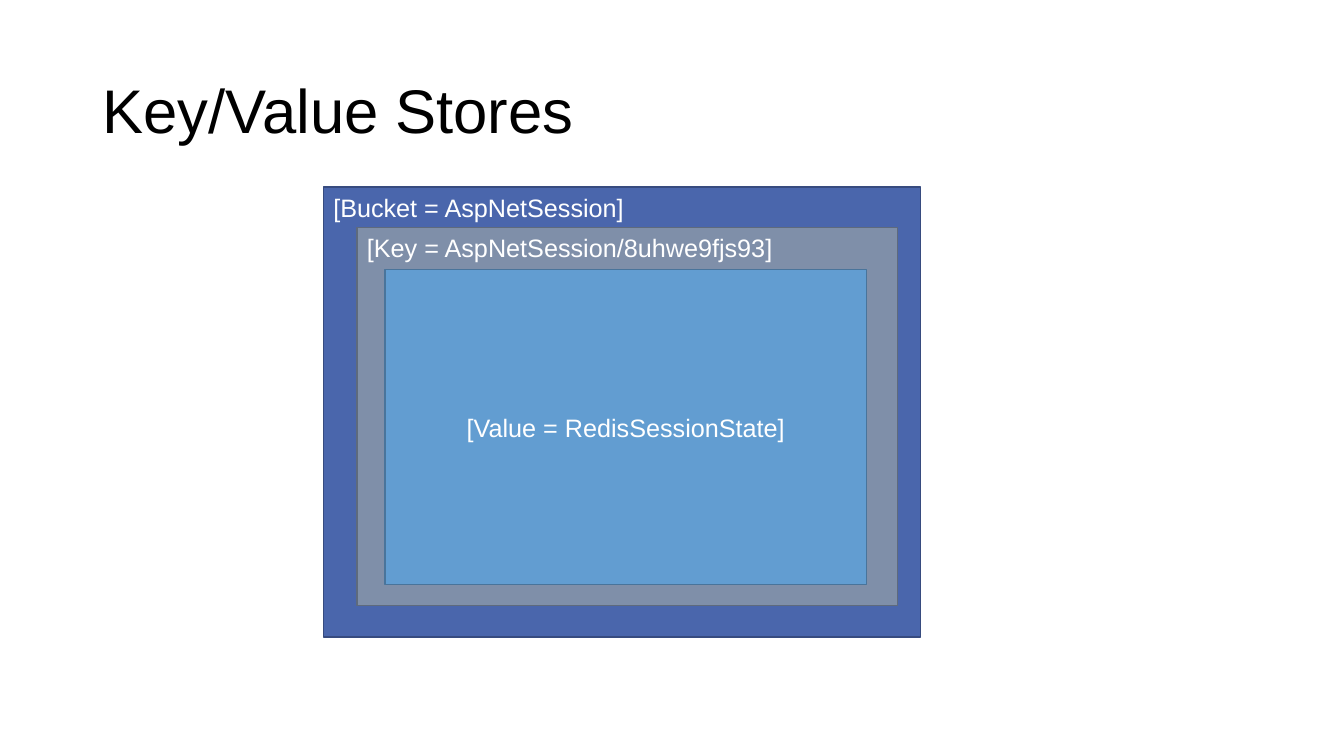
from pptx import Presentation
from pptx.dml.color import RGBColor
from pptx.enum import shapes, text
from pptx.util import Pt

BLACK = RGBColor(0x00, 0x00, 0x00)
WHITE = RGBColor(0xFF, 0xFF, 0xFF)
NAVY = RGBColor(0x4A, 0x66, 0xAC)
NAVY_RIM = RGBColor(0x37, 0x4B, 0x7F)
GREY = RGBColor(0x7F, 0x8F, 0xA9)
GREY_RIM = RGBColor(0x5E, 0x6A, 0x7D)
SKY = RGBColor(0x62, 0x9D, 0xD1)
SKY_RIM = RGBColor(0x49, 0x74, 0x9B)
FONT = "Arial"
TOP, MID = text.MSO_ANCHOR.TOP, text.MSO_ANCHOR.MIDDLE
LEFT, CENTER = text.PP_ALIGN.LEFT, text.PP_ALIGN.CENTER


def write(shape, words, size=18, color=WHITE, align=LEFT, anchor=TOP, space=1.0):
    frame = shape.text_frame
    frame.word_wrap = True
    frame.auto_size = text.MSO_AUTO_SIZE.NONE
    frame.vertical_anchor = anchor
    para = frame.paragraphs[0]
    para.alignment = align
    para.line_spacing = space
    run = para.add_run()
    run.text = words
    run.font.name = FONT
    run.font.size = Pt(size)
    run.font.color.rgb = color


def head(slide, box, words):
    title = slide.shapes.title
    title.left, title.top, title.width, title.height = map(Pt, box)
    write(title, words, size=44, color=BLACK, anchor=MID, space=0.9)


def panel(slide, box, words, fill, rim, **form):
    rect = slide.shapes.add_shape(shapes.MSO_SHAPE.RECTANGLE, *map(Pt, box))
    rect.shadow.inherit = False
    rect.fill.solid()
    rect.fill.fore_color.rgb = fill
    rect.line.color.rgb = rim
    rect.line.width = Pt(1)
    write(rect, words, **form)


def inset(box, left, top, right, bottom):
    x, y, wide, high = box
    return x + left, y + top, wide - left - right, high - top - bottom


def store(slide, box):
    key = inset(box, 24, 29, 16.5, 22.5)
    value = inset(key, 20, 30, 22, 15)
    panel(slide, box, "[Bucket = AspNetSession]", NAVY, NAVY_RIM)
    panel(slide, key, "[Key = AspNetSession/8uhwe9fjs93]", GREY, GREY_RIM)
    panel(slide, value, "[Value = RedisSessionState]", SKY, SKY_RIM,
          align=CENTER, anchor=MID)


def main():
    deck = Presentation()
    deck.slide_width, deck.slide_height = Pt(960), Pt(540)
    slide = deck.slides.add_slide(deck.slide_layouts[5])
    head(slide, (66, 28.75, 828, 104.4), "Key/Value Stores")
    store(slide, (231, 133.5, 426.5, 321.5))
    deck.save("out.pptx")


if __name__ == "__main__":
    main()
